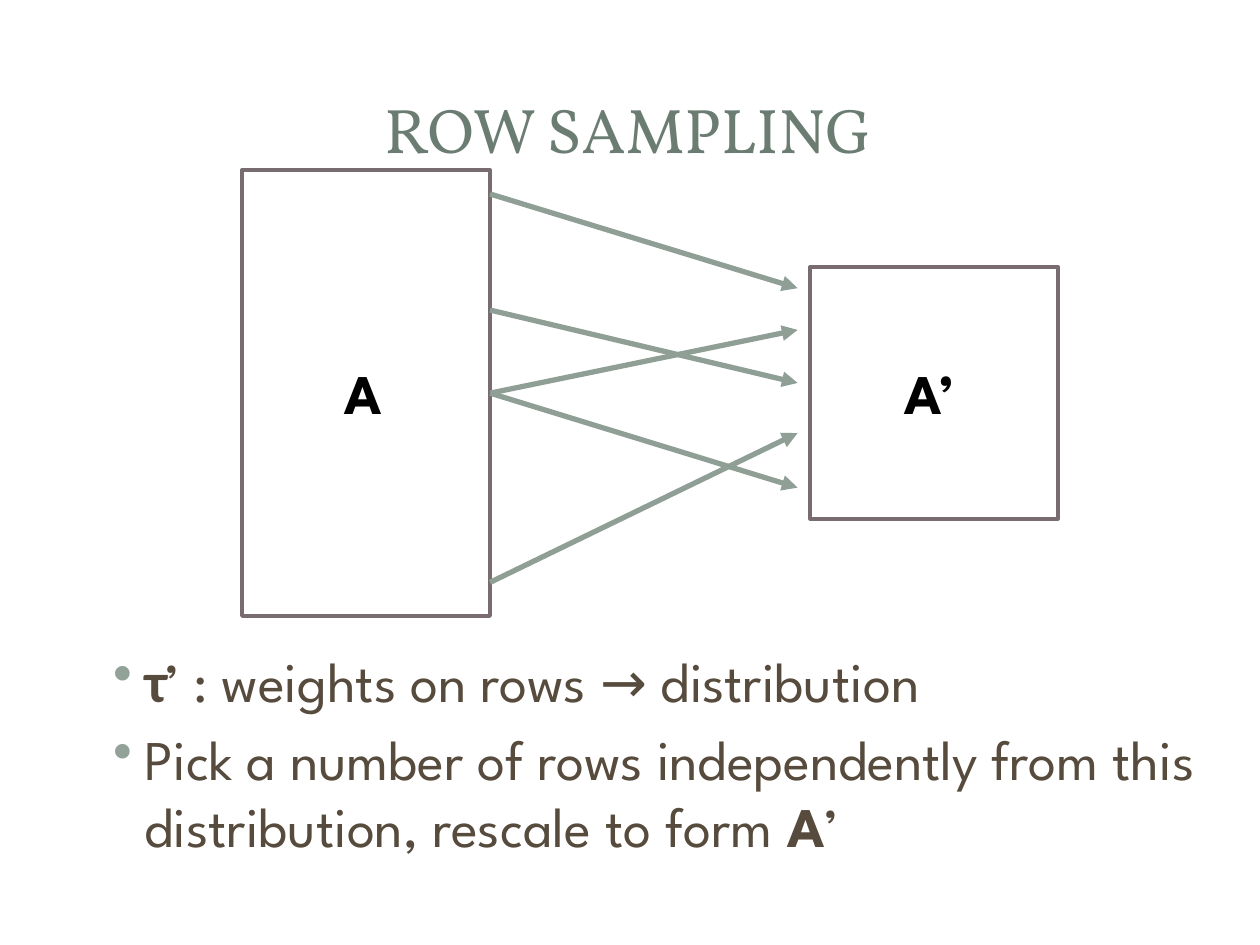
from dataclasses import dataclass

from lxml.etree import SubElement
from pptx import Presentation
from pptx.dml.color import RGBColor
from pptx.enum.shapes import MSO_CONNECTOR, MSO_SHAPE
from pptx.enum.text import MSO_ANCHOR, PP_ALIGN
from pptx.oxml.ns import qn
from pptx.util import Cm, Pt


@dataclass(frozen=True)
class Theme:
    title: RGBColor = RGBColor.from_string("6B7D72")
    body: RGBColor = RGBColor.from_string("564B3C")
    label: RGBColor = RGBColor.from_string("000000")
    edge: RGBColor = RGBColor.from_string("786C71")
    arrow: RGBColor = RGBColor.from_string("8F9F96")
    bullet: str = "93A299"
    serif: str = "Vollkorn"
    sans: str = "League Spartan"
    greek: str = "Calibri"
    big: Pt = Pt(36)
    text: Pt = Pt(32)


THEME = Theme()


def style(font, name, size, color, bold=None):
    font.name, font.size, font.bold = name, size, bold
    font.color.rgb = color


def add_text(slide, box, wrap=True):
    frame = slide.shapes.add_textbox(*map(Cm, box)).text_frame
    frame.word_wrap = wrap
    return frame


def add_title(slide, box, text):
    frame = add_text(slide, box)
    frame.vertical_anchor = MSO_ANCHOR.MIDDLE
    para = frame.paragraphs[0]
    para.text = text
    para.alignment = PP_ALIGN.CENTER
    style(para.font, THEME.serif, THEME.big, THEME.title)


def add_matrix(slide, box, name, width):
    """Outlined box with its name in the centre."""
    left, top, wide, high = box
    tall = 1.63
    frame = add_text(slide, (left + (wide - width) / 2,
                             top + (high - tall) / 2, width, tall), False)
    para = frame.paragraphs[0]
    para.text = name
    style(para.font, THEME.sans, THEME.text, THEME.label, True)

    rect = slide.shapes.add_shape(MSO_SHAPE.RECTANGLE, *map(Cm, box))
    rect.shadow.inherit = False
    rect.fill.background()
    rect.line.color.rgb = THEME.edge
    rect.line.width = Pt(2)
    return rect


def add_arrow(slide, start, end):
    line = slide.shapes.add_connector(
        MSO_CONNECTOR.STRAIGHT, *map(Cm, start + end))
    line.line.color.rgb = THEME.arrow
    line.line.width = Pt(3)
    SubElement(line.line._get_or_add_ln(), qn("a:tailEnd"), type="triangle")
    SubElement(line._element.spPr, qn("a:effectLst"))
    return line


def add_sample(slide, box):
    """Rows of the tall matrix mapped to rows of the small one."""
    left, top, wide, high = box
    side, drop, gap = 5, 1.95, 0.25
    source = add_matrix(slide, (left, top, side, high), "A", 1.37)
    goal = left + wide - side
    add_matrix(slide, (goal, top + drop, side, 5.08), "A’", 1.7)

    # Row offsets from the top of each matrix
    mid = high / 2
    rows = [(0.48, 0.43), (mid, 1.27), (2.82, 2.34), (mid, 4.45), (8.31, 3.35)]
    for row, pick in rows:
        line = add_arrow(slide, (left + side, top + row),
                         (goal - gap, top + drop + pick))
        if row == mid:
            line.begin_connect(source, 3)


def add_bullet(para):
    props = para._p.get_or_add_pPr()
    props.set("marL", str(Cm(0.97)))
    props.set("indent", str(Cm(-0.64)))
    color = SubElement(props, qn("a:buClr"))
    SubElement(color, qn("a:srgbClr"), val=THEME.bullet)
    SubElement(props, qn("a:buChar"), char="•")


def add_points(slide, box, points):
    """Bulleted list; each point is a list of (text, bold, font) runs."""
    frame = add_text(slide, box)
    for index, runs in enumerate(points):
        para = frame.add_paragraph() if index else frame.paragraphs[0]
        add_bullet(para)
        if index:
            para.space_before = Pt(6.4)
        style(para.font, THEME.sans, THEME.text, THEME.body)
        for text, bold, name in runs:
            run = para.add_run()
            run.text = text
            if bold:
                run.font.bold = True
            if name:
                run.font.name = name


def main():
    deck = Presentation()
    deck.slide_width, deck.slide_height = Cm(25.4), Cm(19.05)
    slide = deck.slides.add_slide(deck.slide_layouts[6])

    # Title
    add_title(slide, (1.19, 1.14, 22.94, 2.9), "ROW SAMPLING")

    # Diagram
    add_sample(slide, (4.88, 3.43, 16.45, 8.99))

    # Bullets
    add_points(slide, (1.7, 12.9, 22.94, 5.08), [
        [("τ", True, THEME.greek),
         ("’ : weights on rows → distribution", False, None)],
        [("Pick a number of rows independently from this distribution, "
          "rescale to form ", False, None),
         ("A", True, None), ("’", False, None)],
    ])
    deck.save("out.pptx")


if __name__ == "__main__":
    main()
